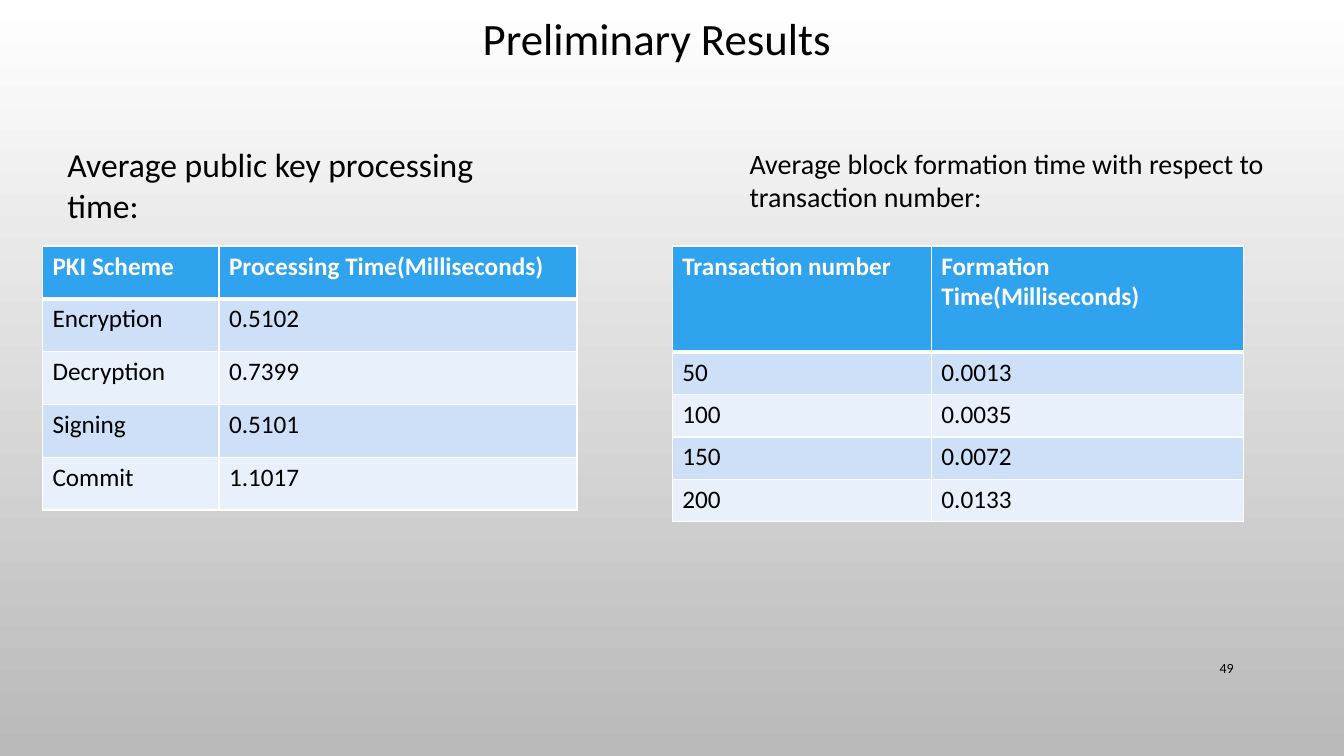
from dataclasses import dataclass

from lxml.etree import SubElement
from pptx import Presentation
from pptx.dml.color import RGBColor as RGB
from pptx.enum.text import MSO_ANCHOR as Anchor, MSO_AUTO_SIZE as AutoSize, PP_ALIGN as Align
from pptx.oxml.ns import qn
from pptx.util import Cm, Pt


@dataclass(frozen=True)
class Theme:
    font: str = "Calibri"
    ink: str = "000000"
    paper: str = "FFFFFF"
    shade: str = "B9B9B9"
    header: str = "2FA3EE"
    bands: tuple = ("CDE0F8", "E8F0FC")
    title: int = 32
    left_heading: int = 24
    right_heading: int = 20
    cell: int = 18
    number: int = 10
    grid: int = 1
    header_rule: int = 3


theme = Theme()


def write(frame, text, size, color=theme.ink, bold=False, align=Align.LEFT):
    paragraph = frame.paragraphs[0]
    paragraph.text = text
    paragraph.alignment = align
    font = paragraph.font
    font.name, font.size, font.bold = theme.font, Pt(size), bold
    font.color.rgb = RGB.from_string(color)


def add_border(cell, side, width):
    line = SubElement(cell._tc.get_or_add_tcPr(), qn(f"a:ln{side}"), w=str(Pt(width)))
    SubElement(SubElement(line, qn("a:solidFill")), qn("a:srgbClr"), val=theme.paper)


deck = Presentation()
deck.slide_width, deck.slide_height = Cm(33.87), Cm(19.05)
slide = deck.slides.add_slide(deck.slide_layouts[5])

# Background
backdrop = slide.background.fill
backdrop.gradient()
backdrop.gradient_angle = 270
for stop, color, position in zip(backdrop.gradient_stops, (theme.paper, theme.shade), (0, 1)):
    stop.color.rgb = RGB.from_string(color)
    stop.position = position

# Title
title = slide.shapes.title
title.left, title.top, title.width, title.height = Cm(11.91), Cm(0.15), Cm(10.9), Cm(1.63)
title.text_frame.word_wrap = False
title.text_frame.auto_size = AutoSize.SHAPE_TO_FIT_TEXT
title.text_frame.vertical_anchor = Anchor.TOP
write(title.text_frame, "Preliminary Results", theme.title)

# Headings and slide number
captions = [
    ("Average public key processing time:", (1.45, 3.51, 12.7, 1.27),
     theme.left_heading, Align.LEFT, Anchor.TOP),
    ("Average block formation time with respect to transaction number:",
     (18.64, 3.56, 13.77, 1.96), theme.right_heading, Align.LEFT, Anchor.TOP),
    ("49", (29.21, 16.33, 2.13, 1.02), theme.number, Align.RIGHT, Anchor.MIDDLE),
]
for text, place, size, align, anchor in captions:
    frame = slide.shapes.add_textbox(*map(Cm, place)).text_frame
    frame.word_wrap = True
    frame.vertical_anchor = anchor
    write(frame, text, size, align=align)

# Result tables: left edge, column widths, header height, row height, rows
results = [
    (1.07, (4.45, 9.02), 1.33, 1.33, [
        ("PKI Scheme", "Processing Time(Milliseconds)"),
        ("Encryption", "0.5102"),
        ("Decryption", "0.7399"),
        ("Signing", "0.5101"),
        ("Commit", "1.1017"),
    ]),
    (16.94, (6.53, 7.87), 2.67, 1.07, [
        ("Transaction number", "Formation Time(Milliseconds)"),
        ("50", "0.0013"),
        ("100", "0.0035"),
        ("150", "0.0072"),
        ("200", "0.0133"),
    ]),
]
for left, widths, header_height, row_height, rows in results:
    total_height = header_height + row_height * (len(rows) - 1)
    table = slide.shapes.add_table(len(rows), len(widths), Cm(left), Cm(6.2),
                                   Cm(sum(widths)), Cm(total_height)).table
    for column, width in zip(table.columns, widths):
        column.width = Cm(width)
    for r, values in enumerate(rows):
        is_header = r == 0
        table.rows[r].height = Cm(header_height if is_header else row_height)
        for c, value in enumerate(values):
            cell = table.cell(r, c)
            write(cell.text_frame, value, theme.cell,
                  theme.paper if is_header else theme.ink, bold=is_header)
            # Borders come before the fill in the cell properties
            for side in "LRTB":
                on_rule = (r, side) in ((0, "B"), (1, "T"))
                add_border(cell, side, theme.header_rule if on_rule else theme.grid)
            cell.fill.solid()
            cell.fill.fore_color.rgb = RGB.from_string(
                theme.header if is_header else theme.bands[(r - 1) % 2])

deck.save("out.pptx")
